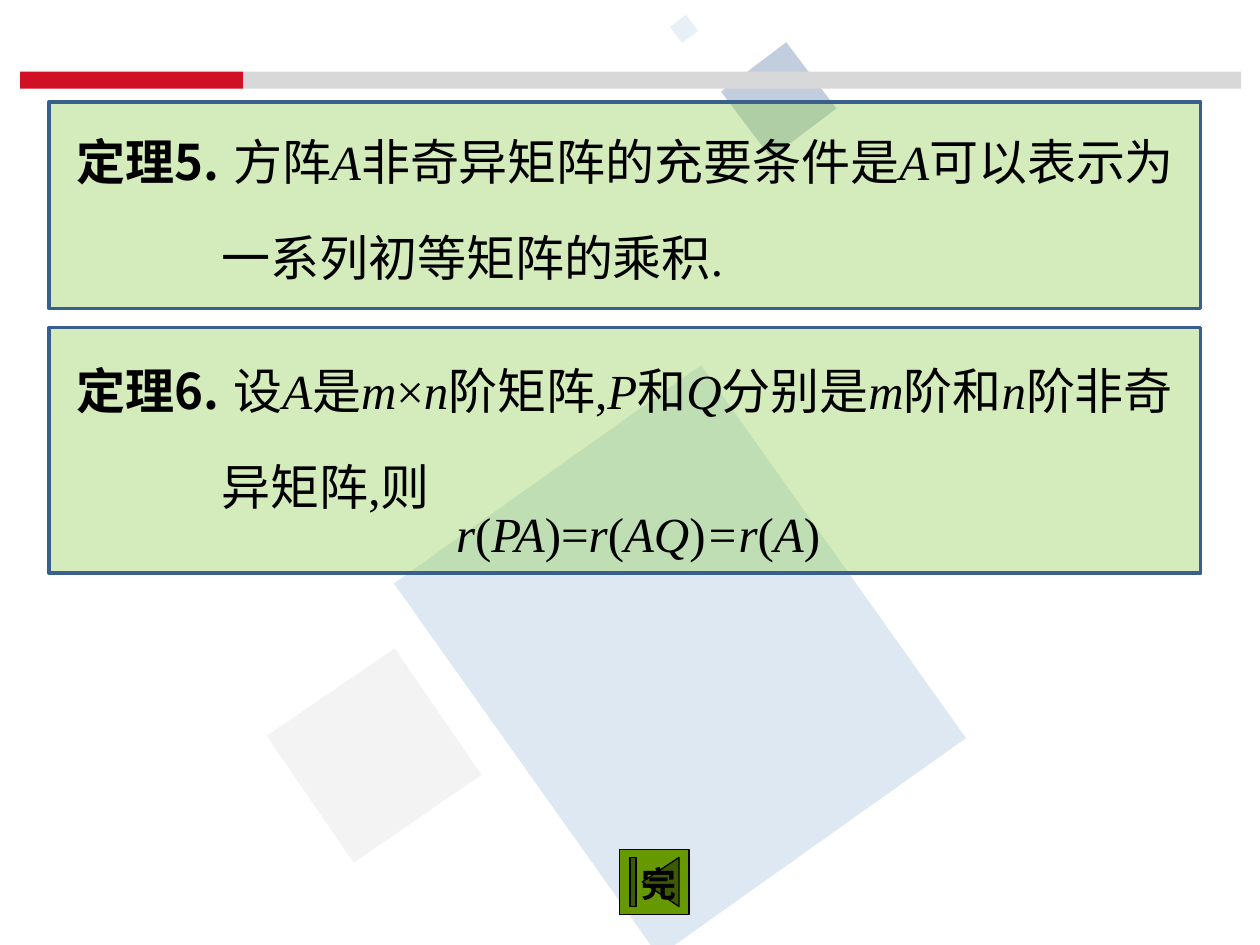
import pptx
import pptx.dml.color
import pptx.enum.shapes
import pptx.enum.text
import pptx.oxml.ns
import pptx.util
from lxml import etree

Pt = pptx.util.Pt
SHAPES = pptx.enum.shapes.MSO_SHAPE
COLORS = {
    "sky": "95B3D7", "mist": "F2F2F2", "navy": "376092", "ice": "B9CDE5",
    "red": "D01025", "gray": "D8D8D8", "green": "92D050", "border": "3A5F8C",
    "button": "669900", "black": "000000",
}
SERIF = "Times New Roman"
CJK = "Noto Sans CJK SC"
HANGING = 82.8


def rgb(name):
    return pptx.dml.color.RGBColor.from_string(COLORS[name])


def add_block(shapes, kind, box, color, opacity=100, line=None, width=0):
    block = shapes.add_shape(kind, *map(Pt, box))
    block.shadow.inherit = False
    block.fill.solid()
    block.fill.fore_color.rgb = rgb(color)
    if opacity < 100:
        tint = block.fill._xPr.find(".//" + pptx.oxml.ns.qn("a:srgbClr"))
        etree.SubElement(tint, pptx.oxml.ns.qn("a:alpha"), val=str(opacity * 1000))
    if line:
        block.line.color.rgb = rgb(line)
        block.line.width = Pt(width)
    else:
        block.line.fill.background()
    return block


def add_run(paragraph, text, size=28, font=SERIF, bold=False, italic=False):
    run = paragraph.add_run()
    run.text = text
    run.font.size = Pt(size)
    run.font.name = font
    run.font.bold = bold
    run.font.italic = italic
    run.font.color.rgb = rgb("black")
    run.font.language_id = pptx.enum.lang.MSO_LANGUAGE_ID.SIMPLIFIED_CHINESE
    latin = run.font._element.find(pptx.oxml.ns.qn("a:latin"))
    latin.addnext(latin.makeelement(pptx.oxml.ns.qn("a:ea"), {"typeface": CJK}))


def add_math(paragraph, parts):
    for index, part in enumerate(parts):
        if part:
            add_run(paragraph, part, italic=index % 2 == 1)


def add_paragraph_box(shapes, box):
    text_box = shapes.add_textbox(*map(Pt, box))
    text_box.text_frame.word_wrap = True
    return text_box.text_frame.paragraphs[0]


def add_hanging_paragraph(shapes, box):
    paragraph = add_paragraph_box(shapes, box)
    paragraph.line_spacing = 1.6
    properties = paragraph._p.get_or_add_pPr()
    properties.set("marL", str(Pt(HANGING)))
    properties.set("indent", str(-Pt(HANGING)))
    return paragraph


def add_backdrop(shapes):
    diamonds = (
        ((257.8, 270, 261.4, 215.3), 54.6, "sky", 30),
        ((169.9, 387.4, 87.8, 88.6), 55.6, "mist", 90),
        ((421.2, 33.8, 47.5, 46.8), 52.9, "navy", 30),
        ((385.2, 10.8, 11.5, 11.5), 52.9, "ice", 30),
    )
    for box, angle, color, opacity in diamonds:
        add_block(shapes, SHAPES.RECTANGLE, box, color, opacity).rotation = angle


def add_header_bar(shapes, left, top, width, height):
    red_width = 127.4
    add_block(shapes, SHAPES.RECTANGLE, (left, top, red_width, height), "red")
    add_block(shapes, SHAPES.RECTANGLE,
              (left + red_width, top, width - red_width, height), "gray")


def add_theorem(shapes, box, text_rise, heading, statement, formula=()):
    left, top, width, height = box
    add_block(shapes, SHAPES.RECTANGLE, box, "green", 39, "border", 2)
    paragraph = add_hanging_paragraph(
        shapes, (left + 8.6, top - text_rise, width + 5, 120))
    add_run(paragraph, heading, font=CJK, bold=True)
    add_run(paragraph, " ", size=32, bold=True)
    add_math(paragraph, statement)
    if formula:
        add_math(add_hanging_paragraph(
            shapes, (left + 225.4, top + 77, 260.6, 54.7)), formula)


def add_end_button(shapes, left, top, width, height):
    button = shapes.add_group_shape().shapes
    add_block(button, SHAPES.ACTION_BUTTON_BEGINNING, (left, top, width, height),
              "button", line="black", width=0.75)
    label = add_paragraph_box(button, (left + 5, top + 4.3, 29.5, 31))
    add_run(label, "完", size=20, font="Arial", bold=True)


def main():
    presentation = pptx.Presentation()
    presentation.slide_width = Pt(720)
    presentation.slide_height = Pt(540)
    shapes = presentation.slides.add_slide(presentation.slide_layouts[6]).shapes

    add_backdrop(shapes)
    add_header_bar(shapes, 11.5, 41, 697.7, 9.7)
    add_theorem(
        shapes, (28.1, 58.3, 658.1, 118.1), 13.7, "定理5.",
        ("方阵", "A", "非奇异矩阵的充要条件是", "A", "可以表示为一系列初等矩阵的乘积."))
    add_theorem(
        shapes, (28.1, 187.2, 658.1, 140.4), 11.5, "定理6.",
        ("设", "A", "是", "m", "×", "n", "阶矩阵,", "P", "和", "Q",
         "分别是", "m", "阶和", "n", "阶非奇异矩阵,则"),
        ("", "r", "(", "PA", ")=", "r", "(", "AQ", ")", "=r", "(", "A", ")"))
    add_end_button(shapes, 354.2, 485.3, 39.6, 37.4)

    presentation.save("out.pptx")


if __name__ == "__main__":
    import pptx.enum.lang
    main()
